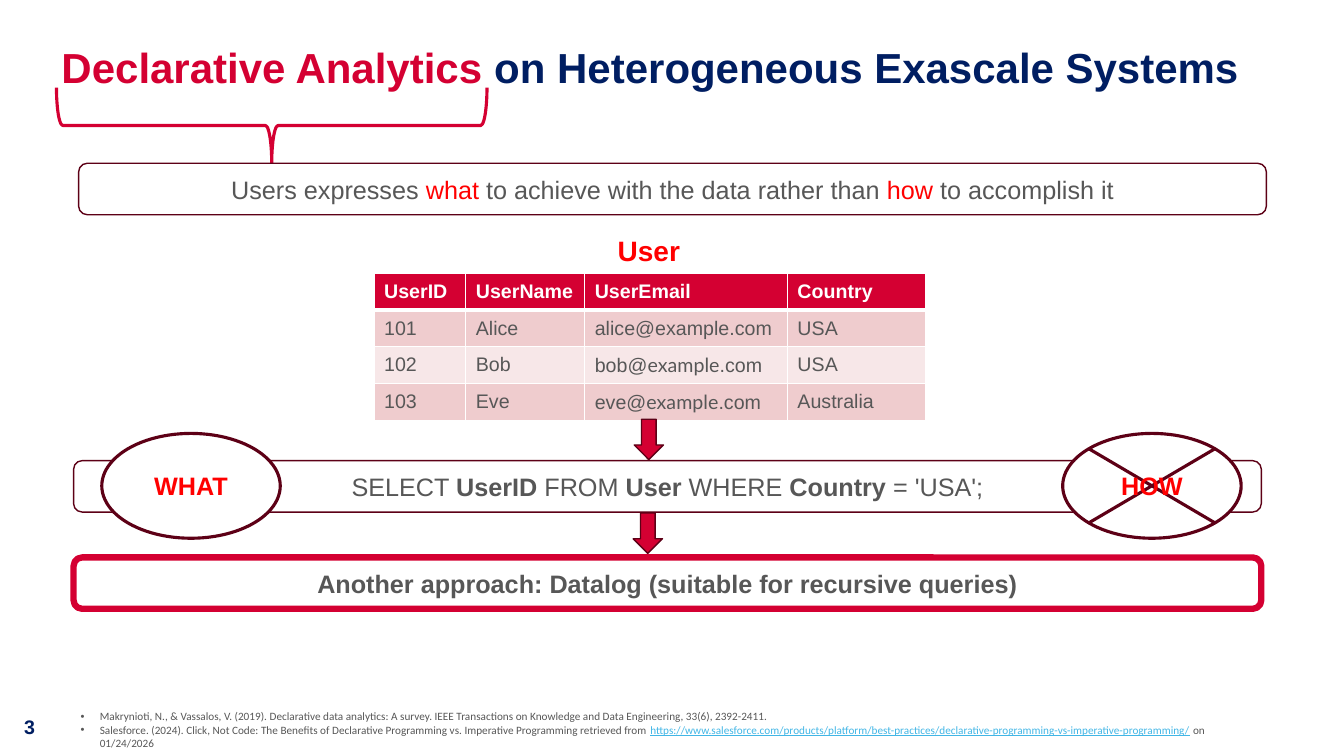
from dataclasses import dataclass

from lxml import etree
from pptx import Presentation
from pptx import util as u
from pptx.dml.color import RGBColor
from pptx.enum import shapes, text
from pptx.oxml.ns import qn

PX = 9144  # EMU in one px, 100 px to the inch

RED = RGBColor(0xD4, 0x00, 0x32)
DARK_RED = RGBColor(0x5D, 0x00, 0x16)
BRIGHT_RED = RGBColor(0xFF, 0x00, 0x00)
NAVY = RGBColor(0x00, 0x1E, 0x62)
GREY = RGBColor(0x57, 0x57, 0x57)
WHITE = RGBColor(0xFF, 0xFF, 0xFF)
LINK_BLUE = RGBColor(0x41, 0xB6, 0xE6)
PINK = RGBColor(0xEF, 0xCC, 0xCE)
PALE_PINK = RGBColor(0xF7, 0xE7, 0xE8)

SHAPE = shapes.MSO_SHAPE
CENTER = text.PP_ALIGN.CENTER

USERS = [
    ["UserID", "UserName", "UserEmail", "Country"],
    ["101", "Alice", "alice@example.com", "USA"],
    ["102", "Bob", "bob@example.com", "USA"],
    ["103", "Eve", "eve@example.com", "Australia"],
]
COLUMN_WIDTHS = [91, 118, 201, 137]
LATO_ROWS = (2, 3)


@dataclass
class Box:
    left: int
    top: int
    width: int
    height: int

    def inner(self, dx, dy, width, height):
        """A box measured from this one's top left corner."""
        return Box(self.left + dx, self.top + dy, width, height)

    def emu(self):
        return [u.Emu(n * PX) for n in (self.left, self.top, self.width, self.height)]


def add_runs(paragraph, runs, size, color=GREY, bold=False, name="Arial"):
    """Add (wording, changes) pairs; changes override the shared formatting."""
    for wording, changes in runs:
        run = paragraph.add_run()
        run.text = wording
        font = run.font
        font.size = u.Pt(size)
        font.name = changes.get("name", name)
        font.bold = changes.get("bold", bold)
        font.underline = changes.get("underline", False)
        font.color.rgb = changes.get("color", color)


def move(placeholder, box):
    placeholder.left, placeholder.top, placeholder.width, placeholder.height = box.emu()
    placeholder.text_frame.auto_size = text.MSO_AUTO_SIZE.NONE
    placeholder.text_frame.vertical_anchor = text.MSO_ANCHOR.TOP


def add_shape(slide, kind, box, fill, line, weight):
    shape = slide.shapes.add_shape(kind, *box.emu())
    shape.shadow.inherit = False
    if fill is None:
        shape.fill.background()
    else:
        shape.fill.solid()
        shape.fill.fore_color.rgb = fill
    shape.line.color.rgb = line
    shape.line.width = u.Pt(weight)
    return shape


def add_panel(slide, kind, box, runs, line=DARK_RED, weight=1.0, **style):
    """A white shape with one centred line of text."""
    shape = add_shape(slide, kind, box, WHITE, line, weight)
    frame = shape.text_frame
    frame.word_wrap = True
    frame.vertical_anchor = text.MSO_ANCHOR.MIDDLE
    frame.paragraphs[0].alignment = CENTER
    add_runs(frame.paragraphs[0], runs, 18, **style)


def add_label(slide, box, wording, size, color, alignment):
    frame = slide.shapes.add_textbox(*box.emu()).text_frame
    frame.word_wrap = True
    frame.paragraphs[0].alignment = alignment
    add_runs(frame.paragraphs[0], [(wording, {})], size, color, bold=True)


def add_title(slide, box):
    title = slide.shapes.title
    move(title, box)
    frame = title.text_frame
    frame.margin_left = frame.margin_right = frame.margin_top = frame.margin_bottom = 0
    paragraph = frame.paragraphs[0]
    paragraph.alignment = text.PP_ALIGN.LEFT
    paragraph.line_spacing = 0.9
    add_runs(paragraph, [("Declarative Analytics", {"color": RED}),
                         (" on Heterogeneous Exascale Systems", {})],
             30, NAVY, bold=True)


def add_definition(slide, box):
    """The brace under the title's first words and the panel it points to."""
    brace_width, brace_height = 427, 75
    shift = (brace_width - brace_height) // 2
    upright = box.inner(shift, -shift, brace_height, brace_width)
    brace = add_shape(slide, SHAPE.RIGHT_BRACE, upright, None, RED, 2.25)
    brace.rotation = 90
    red = {"color": BRIGHT_RED}
    add_panel(slide, SHAPE.ROUNDED_RECTANGLE, box.inner(22, brace_height, 1178, 51), [
        ("Users expresses ", {}), ("what ", red),
        ("to achieve with the data rather than ", {}),
        ("how ", red), ("to accomplish it", {})])


def set_borders(cell, top, bottom):
    properties = cell._tc.get_or_add_tcPr()
    for side, points in (("L", 1), ("R", 1), ("T", top), ("B", bottom)):
        line = etree.SubElement(properties, qn("a:ln" + side), w=str(u.Pt(points)))
        fill = etree.SubElement(line, qn("a:solidFill"))
        etree.SubElement(fill, qn("a:srgbClr"), val=str(WHITE))


def add_user_table(slide, box):
    add_label(slide, box.inner(0, 0, 545, 44), "User", 20, BRIGHT_RED, CENTER)
    place = box.inner(0, 44, sum(COLUMN_WIDTHS), 146)
    table = slide.shapes.add_table(len(USERS), len(COLUMN_WIDTHS), *place.emu()).table
    table.horz_banding = False
    for column, width in zip(table.columns, COLUMN_WIDTHS):
        column.width = u.Emu(width * PX)
    for i, row in enumerate(USERS):
        header = i == 0
        for j, wording in enumerate(row):
            cell = table.cell(i, j)
            set_borders(cell, 3 if i == 1 else 1, 3 if header else 1)
            cell.fill.solid()
            cell.fill.fore_color.rgb = RED if header else PINK if i % 2 else PALE_PINK
            cell.vertical_anchor = text.MSO_ANCHOR.MIDDLE
            runs = [(wording, {})]
            if i in LATO_ROWS and "@" in wording:
                before, domain, after = wording.partition("example")
                runs = [(before, {}), (domain, {"name": "Lato"}), (after, {})]
            add_runs(cell.text_frame.paragraphs[0], runs, 14,
                     WHITE if header else GREY, bold=header)


def add_query_steps(slide, box):
    """The query panel with its ovals and arrows, then the closing panel."""
    strong = {"bold": True}
    add_panel(slide, SHAPE.ROUNDED_RECTANGLE, box, [
        ("SELECT ", {}), ("UserID ", strong), ("FROM ", {}), ("User ", strong),
        ("WHERE ", {}), ("Country ", strong), ("= 'USA';", {})])
    for kind, dx, wording in ((SHAPE.FLOWCHART_CONNECTOR, 28, "WHAT"),
                              (SHAPE.FLOWCHART_SUMMING_JUNCTION, 981, "HOW")):
        add_panel(slide, kind, box.inner(dx, -27, 177, 104), [(wording, {})],
                  weight=2.25, color=BRIGHT_RED, bold=True)
    add_panel(slide, SHAPE.ROUNDED_RECTANGLE, box.inner(0, 96, box.width, box.height),
              [("Another approach: Datalog (suitable for recursive queries)", {})],
              line=RED, weight=4.5, bold=True)
    for dx, dy in ((556, -41), (555, 52)):
        add_shape(slide, SHAPE.DOWN_ARROW, box.inner(dx, dy, 29, 40), RED, DARK_RED, 1)


def add_references(slide, box):
    body = slide.placeholders[1]
    move(body, box)
    references = [
        [("Makrynioti, N., & Vassalos, V. (2019). Declarative data analytics: A survey. "
          "IEEE Transactions on Knowledge and Data Engineering, 33(6), 2392-2411.", {})],
        [("Salesforce. (2024). Click, Not Code: The Benefits of Declarative Programming "
          "vs. Imperative Programming retrieved from ", {}),
         ("https://www.salesforce.com/products/platform/best-practices/"
          "declarative-programming-vs-imperative-programming/",
          {"color": LINK_BLUE, "underline": True}),
         (" on 01/24/2026", {})],
    ]
    frame = body.text_frame
    for i, runs in enumerate(references):
        paragraph = frame.add_paragraph() if i else frame.paragraphs[0]
        paragraph.space_before = u.Pt(0)
        properties = paragraph._p.get_or_add_pPr()
        properties.set("marL", str(19 * PX))
        properties.set("indent", str(-19 * PX))
        etree.SubElement(properties, qn("a:buFont"), typeface="Arial")
        etree.SubElement(properties, qn("a:buChar"), char="•")
        add_runs(paragraph, runs, 8, name="Calibri")


def main():
    presentation = Presentation()
    presentation.slide_width = u.Emu(1333 * PX)
    presentation.slide_height = u.Emu(750 * PX)
    slide = presentation.slides.add_slide(presentation.slide_layouts[1])
    add_title(slide, Box(61, 47, 1207, 89))
    add_references(slide, Box(70, 699, 1185, 50))
    add_label(slide, Box(14, 704, 66, 34), "3", 14, NAVY, text.PP_ALIGN.LEFT)
    add_definition(slide, Box(56, 87, 1200, 126))
    add_user_table(slide, Box(371, 227, 547, 190))
    add_query_steps(slide, Box(73, 457, 1178, 51))
    presentation.save("out.pptx")


if __name__ == "__main__":
    main()
